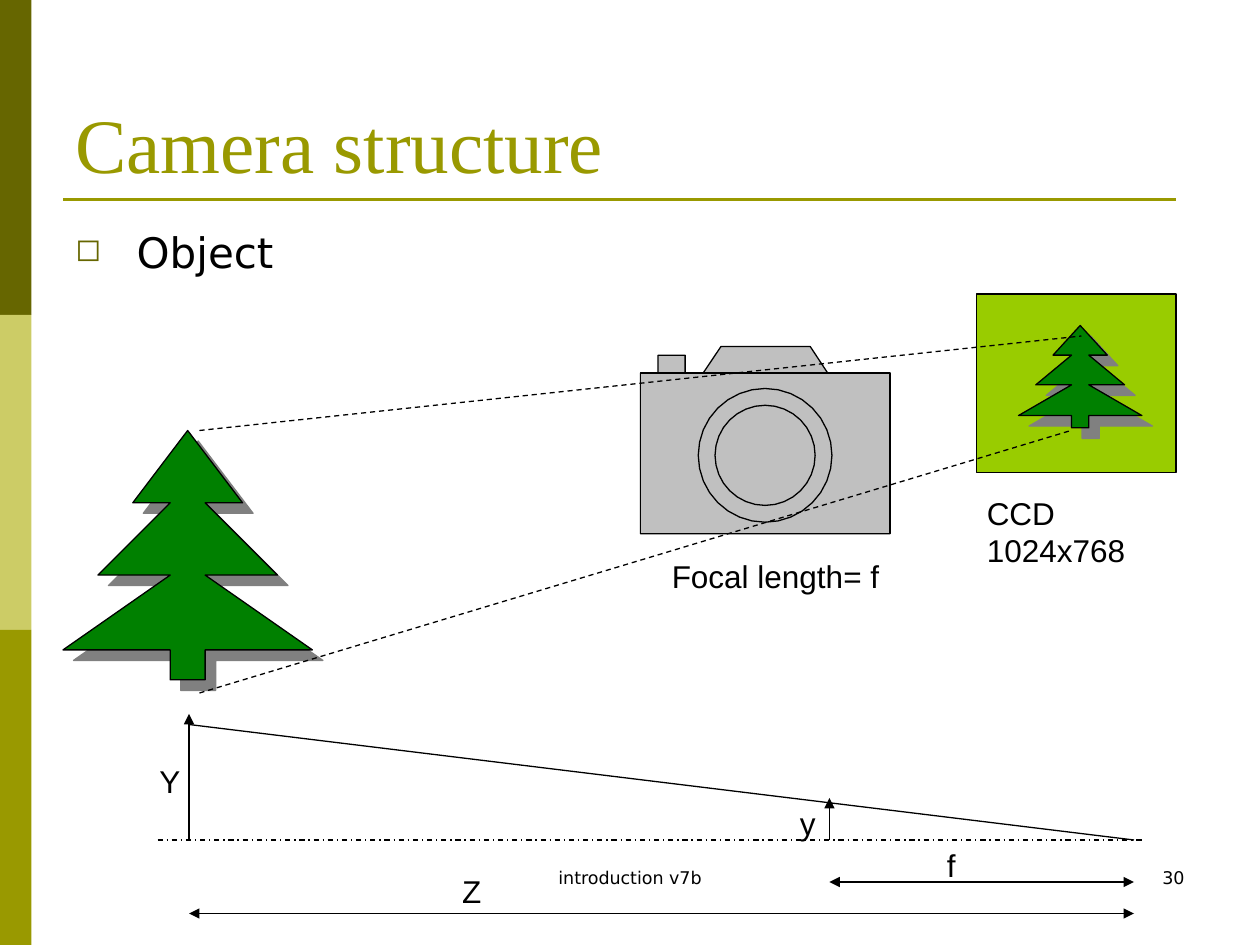
from math import cos, pi, sin

from lxml import etree
from pptx import Presentation
from pptx.dml.color import RGBColor
from pptx.enum.dml import MSO_LINE as Dash
from pptx.enum.shapes import MSO_CONNECTOR as Connector, MSO_SHAPE as Shape
from pptx.enum.text import MSO_ANCHOR as Anchor, MSO_AUTO_SIZE as AutoSize, PP_ALIGN as Align
from pptx.oxml.ns import qn
from pptx.util import Pt

COLORS = {
    "black": "000000", "dark_olive": "666600", "pale_olive": "CCCC66",
    "olive": "999900", "lime": "99CC00", "silver": "C0C0C0",
    "green": "008000", "shadow": "808080",
}
RGB = {name: RGBColor.from_string(value) for name, value in COLORS.items()}

prs = Presentation()
prs.slide_width, prs.slide_height = Pt(720), Pt(540)
slide = prs.slides.add_slide(prs.slide_layouts[6])
shapes = slide.shapes


def add_text(lines, left, top, width, height, size=18, font="Arial",
             color="black", align=Align.LEFT, anchor=Anchor.TOP, wrap=False):
    box = shapes.add_textbox(Pt(left), Pt(top), Pt(width), Pt(height))
    frame = box.text_frame
    frame.word_wrap = wrap
    frame.auto_size = AutoSize.NONE if wrap else AutoSize.SHAPE_TO_FIT_TEXT
    frame.vertical_anchor = anchor
    for index, line in enumerate(lines):
        paragraph = frame.add_paragraph() if index else frame.paragraphs[0]
        paragraph.alignment = align
        run = paragraph.add_run()
        run.text = line
        run.font.size = Pt(size)
        run.font.name = font
        run.font.color.rgb = RGB[color]
    return frame


def add_line(x1, y1, x2, y2, color="black", width=0.75, dash=None, arrows=()):
    connector = shapes.add_connector(Connector.STRAIGHT, Pt(x1), Pt(y1), Pt(x2), Pt(y2))
    connector.line.color.rgb = RGB[color]
    connector.line.width = Pt(width)
    if dash:
        connector.line.dash_style = dash
    properties = connector._element.spPr
    for end in arrows:
        etree.SubElement(properties.find(qn("a:ln")), qn(f"a:{end}"), type="triangle")
    etree.SubElement(properties, qn("a:effectLst"))


for index, color in enumerate(("dark_olive", "pale_olive", "olive")):
    band = shapes.add_shape(Shape.RECTANGLE, Pt(0), Pt(180 * index), Pt(18), Pt(180))
    band.shadow.inherit = False
    band.fill.solid()
    band.fill.fore_color.rgb = RGB[color]
    band.line.fill.background()
add_line(36, 114, 672, 114, color="olive", width=1.5)

add_text(["introduction v7b"], 246, 492, 228, 36, size=10, font="DejaVu Sans",
         align=Align.CENTER, wrap=True)
add_text(["30"], 516, 492, 168, 36, size=10, font="DejaVu Sans",
         align=Align.RIGHT, wrap=True)

ccd = shapes.add_shape(Shape.RECTANGLE, Pt(558), Pt(168), Pt(114), Pt(102))
ccd.shadow.inherit = False
ccd.fill.solid()
ccd.fill.fore_color.rgb = RGB["lime"]
ccd.line.color.rgb = RGB["black"]
ccd.line.width = Pt(0.75)

add_text(["Camera structure"], 36, 21.6, 648, 90, size=44, font="Times New Roman",
         color="olive", anchor=Anchor.BOTTOM, wrap=True)
body = add_text(["Object"], 36, 126, 318, 356.4, size=24, font="DejaVu Sans", wrap=True)
bullet = body.paragraphs[0]._p.get_or_add_pPr()
bullet.set("marL", str(Pt(35)))
bullet.set("indent", str(-Pt(35)))
bullet_color = etree.SubElement(bullet, qn("a:buClr"))
etree.SubElement(bullet_color, qn("a:srgbClr"), val=COLORS["dark_olive"])
etree.SubElement(bullet, qn("a:buSzPct"), val="75000")
etree.SubElement(bullet, qn("a:buChar"), char="◻")

camera_contours = [
    [(366, 305), (366, 213.2), (376, 213.2), (376, 203), (391.5, 203), (391.5, 213.2),
     (401.8, 213.2), (412, 198), (463, 198), (473, 213.2), (508.5, 213.2), (508.5, 305)],
    [(366, 213.2), (508.5, 213.2), (508.5, 305), (366, 305)],
]
for radius in (38.2, 28.6):
    camera_contours.append([
        (437.2 + radius * sin(pi * step / 16), 260.2 - radius * cos(pi * step / 16))
        for step in range(32)])

tree_right = [(0.5, 0), (0.72, 0.29), (0.57, 0.29), (0.86, 0.58), (0.57, 0.58),
              (1, 0.88), (0.57, 0.88), (0.57, 1)]
tree = tree_right + [(1 - x, y) for x, y in reversed(tree_right[1:])]
drawings = [("silver", camera_contours)]
for left, top, width, height in ((36, 246, 142.5, 142.5), (582, 186, 70.5, 58.5)):
    drawings.append(("green", [[(left + x * width, top + y * height) for x, y in tree]]))

for color, contours in drawings:
    points = [[(Pt(x), Pt(y)) for x, y in contour] for contour in contours]
    builder = shapes.build_freeform(*points[0][0])
    builder.add_line_segments(points[0][1:], close=True)
    for contour in points[1:]:
        builder.move_to(*contour[0])
        builder.add_line_segments(contour[1:], close=True)
    drawing = builder.convert_to_shape()
    drawing.shadow.inherit = False
    drawing.fill.solid()
    drawing.fill.fore_color.rgb = RGB[color]
    drawing.line.color.rgb = RGB["black"]
    drawing.line.width = Pt(0.75)
    properties = drawing._element.spPr
    first_path = properties.find(".//" + qn("a:path"))
    current_path = first_path
    for step in list(first_path)[1:]:
        if step.tag == qn("a:moveTo"):
            current_path = etree.SubElement(first_path.getparent(), qn("a:path"))
            for name in ("w", "h"):
                current_path.set(name, first_path.get(name))
        current_path.append(step)
    if color == "green":
        shadow = etree.SubElement(
            properties.find(qn("a:effectLst")), qn("a:outerShdw"),
            dist=str(Pt(8.5)), dir="2700000", algn="ctr", rotWithShape="0")
        etree.SubElement(shadow, qn("a:srgbClr"), val=COLORS["shadow"])

add_text(["CCD", "1024x768"], 556.8, 278.6, 93.6, 50.4)
add_line(114, 396, 612, 246, dash=Dash.DASH)
add_line(114, 246, 618, 192, dash=Dash.DASH)
add_text(["Focal length= f"], 376.8, 314.5, 133, 29)

object_x, image_x, focus_x, axis_y = 108, 474, 648, 480
add_line(object_x, axis_y, object_x, 408, arrows=["tailEnd"])
add_line(90, axis_y, 654, axis_y, dash=Dash.DASH_DOT)
add_line(image_x, axis_y, image_x, 456, arrows=["tailEnd"])
add_line(object_x, 414, focus_x, axis_y)
for start, level in ((image_x, 504), (object_x, 522)):
    add_line(start, level, focus_x, level, arrows=["headEnd", "tailEnd"])

for label, left, top, width in (("f", 534, 480, 19.5), ("Y", 84, 432, 26.5),
                                ("y", 450, 456, 24), ("Z", 257, 494.5, 25)):
    add_text([label], left, top, width, 29)

prs.save("out.pptx")
